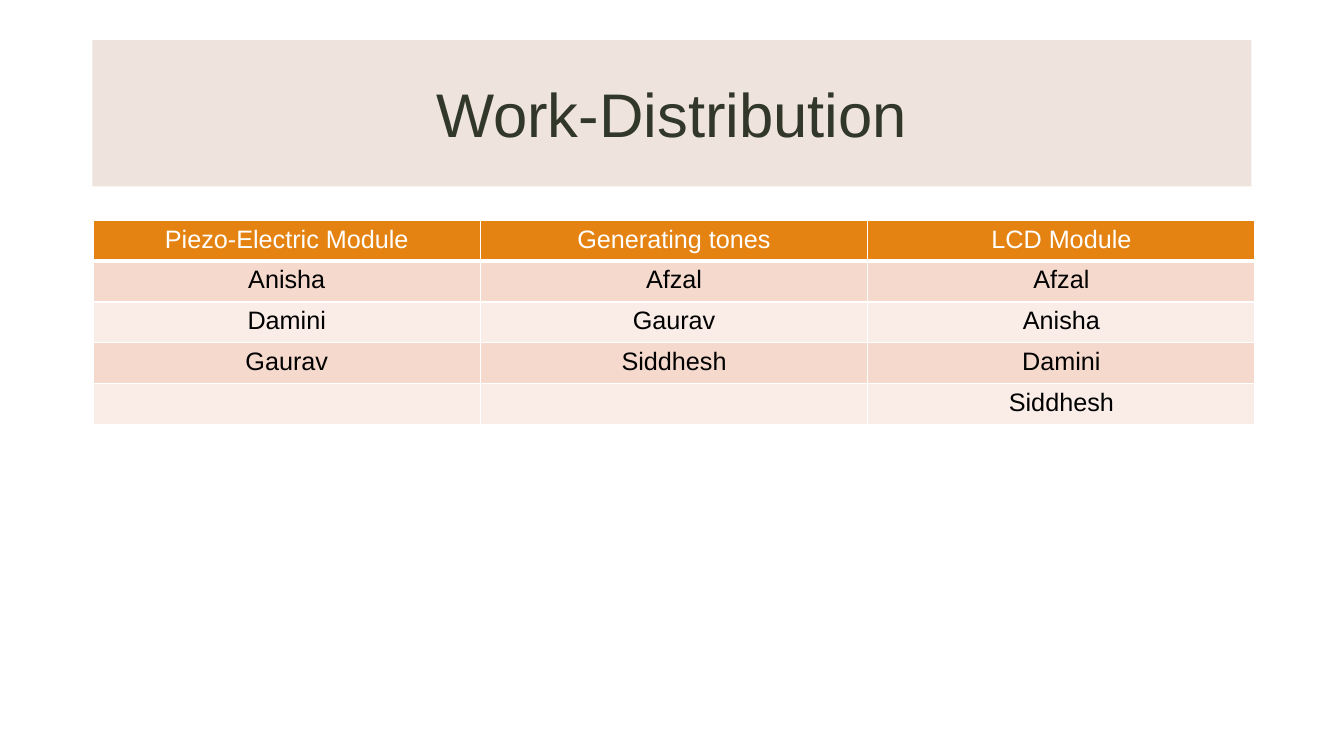
from dataclasses import dataclass

from lxml.etree import SubElement
from pptx import Presentation
from pptx.dml.color import RGBColor
from pptx.enum.shapes import MSO_SHAPE
from pptx.enum.text import MSO_ANCHOR, PP_ALIGN
from pptx.oxml.ns import qn
from pptx.slide import Slide
from pptx.table import _Cell
from pptx.text.text import TextFrame
from pptx.util import Pt


@dataclass(frozen=True)
class Theme:
    font: str = "Arial"
    title_size: float = 44
    table_size: float = 18
    title_text: str = "313829"
    title_fill: str = "EBDCD5"
    title_opacity: int = 80
    header_text: str = "FFFFFF"
    header_fill: str = "E48312"
    body_text: str = "000000"
    body_fills: tuple[str, str] = ("F5D9CC", "FAEDE7")
    border: str = "FFFFFF"
    thin_border: float = 1
    header_border: float = 3


@dataclass(frozen=True)
class Area:
    left: float
    top: float
    width: float
    height: float

    def lengths(self) -> tuple[Pt, Pt, Pt, Pt]:
        return Pt(self.left), Pt(self.top), Pt(self.width), Pt(self.height)


@dataclass(frozen=True)
class Module:
    name: str
    members: tuple[str, ...]


THEME = Theme()
TITLE_AREA = Area(66, 28.75, 828, 104.4)
TABLE_AREA = Area(66.5, 157.3, 830, 146)
MODULES = (
    Module("Piezo-Electric Module", ("Anisha", "Damini", "Gaurav")),
    Module("Generating tones", ("Afzal", "Gaurav", "Siddhesh")),
    Module("LCD Module", ("Afzal", "Anisha", "Damini", "Siddhesh")),
)


def write_centred(frame: TextFrame, text: str, size: float, color: str) -> None:
    para = frame.paragraphs[0]
    para.alignment = PP_ALIGN.CENTER
    span = para.add_run()
    span.text = text
    span.font.name = THEME.font
    span.font.size = Pt(size)
    span.font.bold = False
    span.font.color.rgb = RGBColor.from_string(color)


def add_title(page: Slide, text: str) -> None:
    box = page.shapes.add_shape(MSO_SHAPE.RECTANGLE, *TITLE_AREA.lengths())
    box.shadow.inherit = False
    box.line.fill.background()
    box.fill.solid()
    box.fill.fore_color.rgb = RGBColor.from_string(THEME.title_fill)
    color = box.fill._xPr.find(".//" + qn("a:srgbClr"))
    SubElement(color, qn("a:alpha"), val=str(THEME.title_opacity * 1000))
    box.text_frame.word_wrap = True
    box.text_frame.vertical_anchor = MSO_ANCHOR.MIDDLE
    write_centred(box.text_frame, text, THEME.title_size, THEME.title_text)


def style_cell(cell: _Cell, row: int) -> None:
    """Set borders before the fill, as the order in a:tcPr requires."""
    properties = cell._tc.get_or_add_tcPr()
    heavy_sides = {0: "a:lnB", 1: "a:lnT"}
    for side in ("a:lnL", "a:lnR", "a:lnT", "a:lnB"):
        heavy = side == heavy_sides.get(row)
        width = THEME.header_border if heavy else THEME.thin_border
        line = SubElement(properties, qn(side), w=str(Pt(width)))
        fill = SubElement(line, qn("a:solidFill"))
        SubElement(fill, qn("a:srgbClr"), val=THEME.border)
    color = THEME.body_fills[(row - 1) % 2] if row else THEME.header_fill
    cell.fill.solid()
    cell.fill.fore_color.rgb = RGBColor.from_string(color)


def add_module_table(page: Slide, modules: tuple[Module, ...]) -> None:
    row_count = 1 + max(len(module.members) for module in modules)
    table = page.shapes.add_table(
        row_count, len(modules), *TABLE_AREA.lengths()
    ).table
    for table_row in table.rows:
        table_row.height = Pt(TABLE_AREA.height / row_count)
    for column, module in enumerate(modules):
        table.columns[column].width = Pt(TABLE_AREA.width / len(modules))
        texts = (module.name, *module.members)
        for row in range(row_count):
            cell = table.cell(row, column)
            style_cell(cell, row)
            if row < len(texts):
                color = THEME.body_text if row else THEME.header_text
                write_centred(cell.text_frame, texts[row], THEME.table_size, color)


def main() -> None:
    deck = Presentation()
    deck.slide_width, deck.slide_height = Pt(960), Pt(540)
    page = deck.slides.add_slide(deck.slide_layouts[6])
    add_title(page, "Work-Distribution")
    add_module_table(page, MODULES)
    deck.save("out.pptx")


if __name__ == "__main__":
    main()
